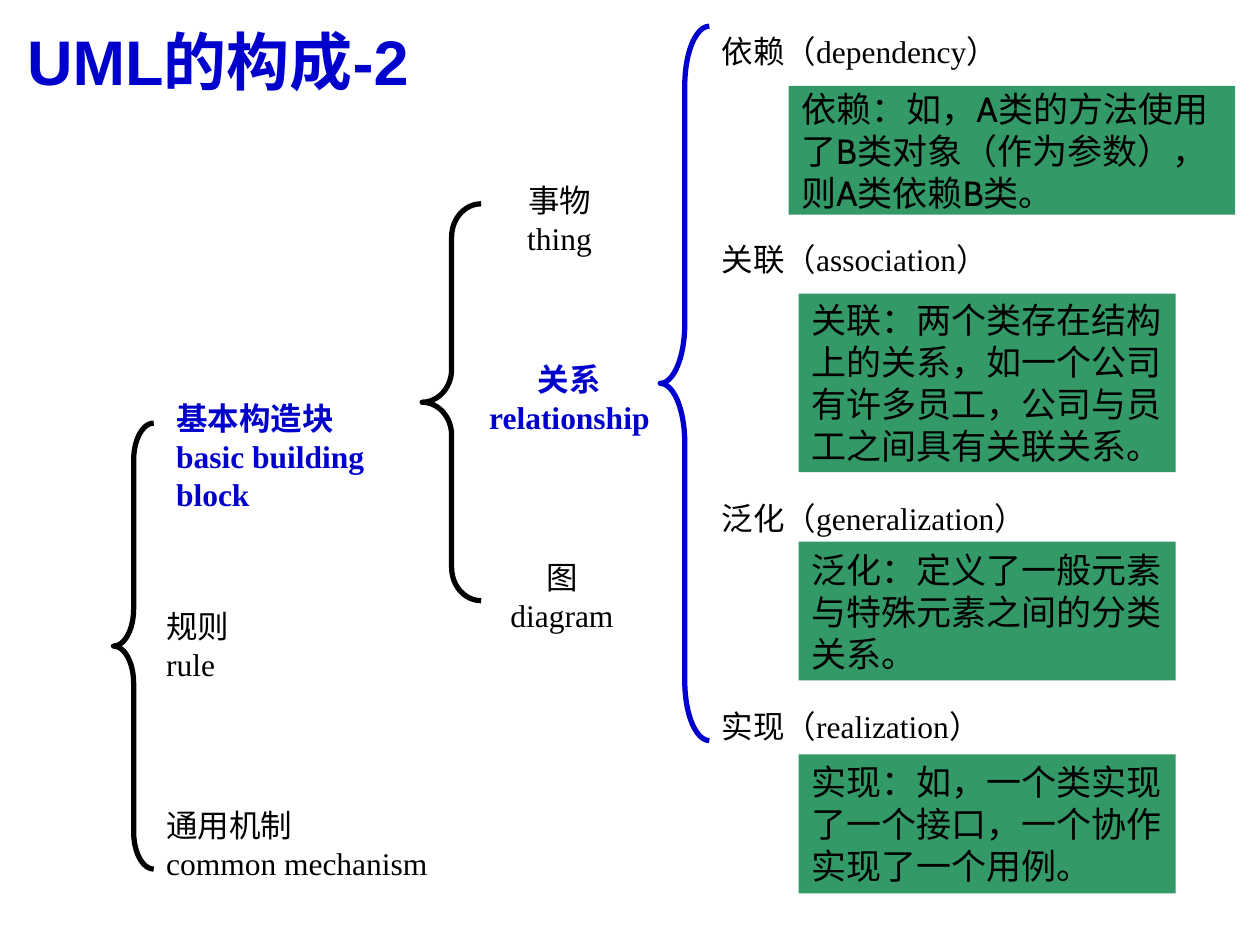
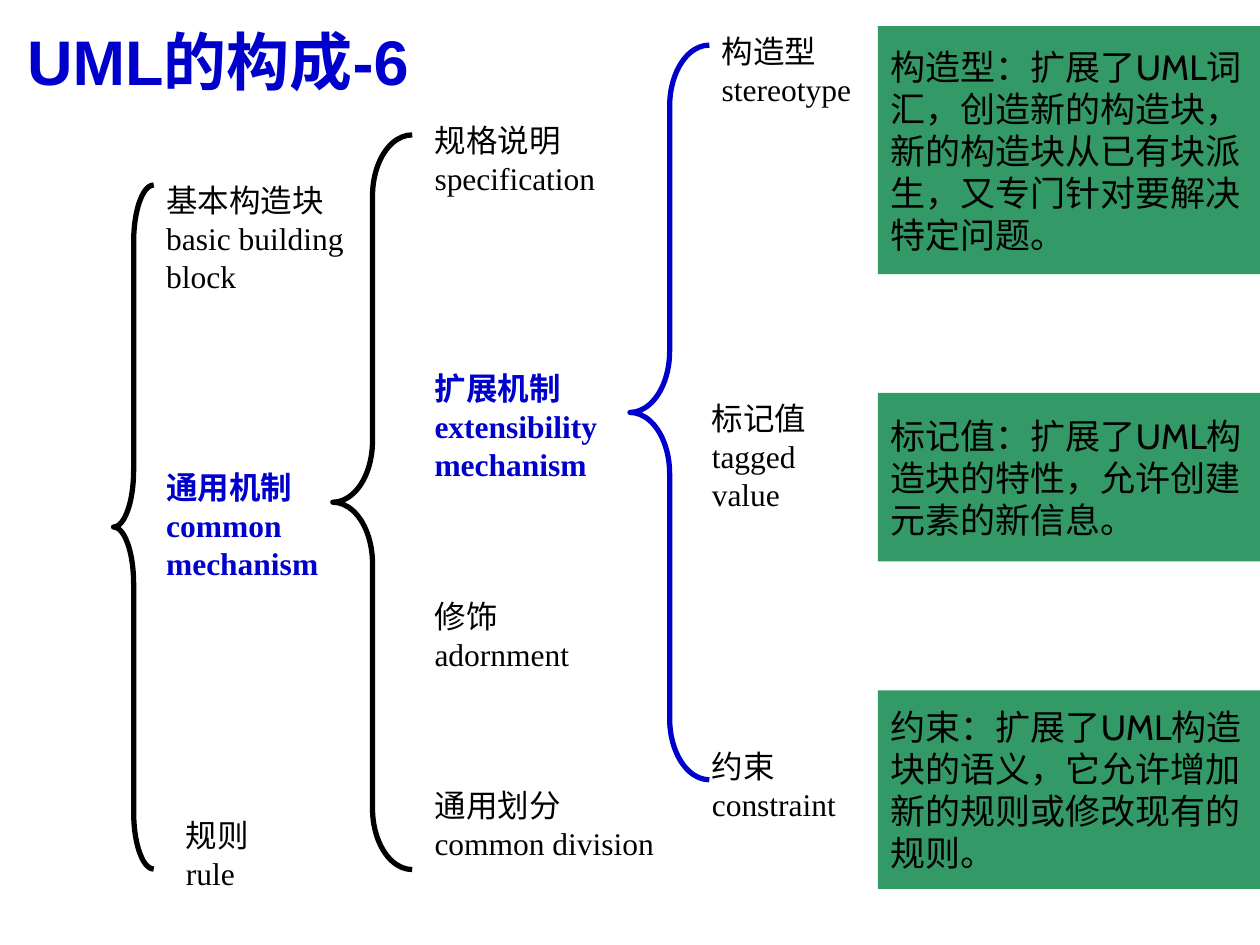
from pptx import Presentation
from pptx import util as u
from pptx.dml.color import RGBColor
from pptx.enum import shapes, text

COLORS = {"plain": "000000", "focus": "0000CC", "note": "339966"}
LABEL_FONT, NOTE_FONT, TITLE_FONT = "Times New Roman", "Cabin", "Arial"
BLANK_LAYOUT = 6


def color(name):
    return RGBColor.from_string(COLORS[name])


def write(shape, lines, font, size, focus=False, align=text.PP_ALIGN.LEFT):
    """Fill a shape with one paragraph per line."""
    frame = shape.text_frame
    frame.word_wrap = True
    frame.text = "\n".join(lines)
    for paragraph in frame.paragraphs:
        paragraph.alignment = align
        paragraph.font.name = font
        paragraph.font.size = u.Pt(size)
        paragraph.font.bold = focus
        paragraph.font.color.rgb = color("focus" if focus else "plain")


def add_text(slide, box, lines, font=LABEL_FONT, size=18, **style):
    shape = slide.shapes.add_textbox(*map(u.Cm, box))
    write(shape, lines, font, size, **style)


def add_title(slide, title):
    add_text(slide, (0.3, 0.33, 9, 1.8), [title], TITLE_FONT, 36, focus=True)


def add_brace(slide, box, name="plain"):
    """Left brace whose curls are a twelfth of its height."""
    shape = slide.shapes.add_shape(shapes.MSO_SHAPE.LEFT_BRACE, *map(u.Cm, box))
    shape.shadow.inherit = False
    shape.adjustments[0] = box[3] / 12 / box[2]
    shape.fill.background()
    shape.line.color.rgb = color(name)
    shape.line.width = u.Pt(3)


def add_note(slide, box, sentence):
    shape = slide.shapes.add_shape(shapes.MSO_SHAPE.RECTANGLE, *map(u.Cm, box))
    shape.shadow.inherit = False
    shape.fill.solid()
    shape.fill.fore_color.rgb = color("note")
    shape.line.fill.background()
    shape.text_frame.vertical_anchor = text.MSO_ANCHOR.MIDDLE
    write(shape, [sentence], NOTE_FONT, 20)


def build_relationships(slide):
    add_title(slide, "UML的构成-2")

    # Top level: parts of UML
    add_brace(slide, (2.29, 8.53, 0.81, 8.99))
    add_text(slide, (3.3, 7.92, 5.7, 1.6),
             ["基本构造块", "basic building block"], focus=True)
    add_text(slide, (3.1, 12.12, 2.8, 1.8), ["规则", "rule"])
    add_text(slide, (3.1, 16.13, 6.4, 1.8), ["通用机制", "common mechanism"])

    # Second level: building blocks
    add_brace(slide, (8.51, 4.11, 1.19, 8))
    blocks = [
        (9.86, 3.53, 2.84, ["事物", "thing"], False),
        (9.45, 7.14, 4.06, ["关系", "relationship"], True),
        (9.91, 11.13, 2.84, ["图", "diagram"], False),
    ]
    for left, top, width, lines, focus in blocks:
        add_text(slide, (left, top, width, 1.6), lines, focus=focus,
                 align=text.PP_ALIGN.CENTER)

    # Third level: relationships, each with its explanation
    add_brace(slide, (13.31, 0.53, 0.99, 14.4), "focus")
    relationships = [
        (0.53, "依赖（dependency）", (15.9, 1.73, 9, 2.6),
         "依赖：如，A类的方法使用了B类对象（作为参数），则A类依赖B类。"),
        (4.72, "关联（association）", (16.1, 5.92, 7.6, 3.6),
         "关联：两个类存在结构上的关系，如一个公司有许多员工，公司与员工之间具有关联关系。"),
        (9.93, "泛化（generalization）", (16.1, 10.92, 7.6, 2.8),
         "泛化：定义了一般元素与特殊元素之间的分类关系。"),
        (14.12, "实现（realization）", (16.1, 15.21, 7.6, 2.8),
         "实现：如，一个类实现了一个接口，一个协作实现了一个用例。"),
    ]
    for top, label, note_box, sentence in relationships:
        add_text(slide, (14.3, top, 9, 1), [label])
        add_note(slide, note_box, sentence)


def build_extensibility(slide):
    add_title(slide, "UML的构成-6")

    # Top level: parts of UML
    add_brace(slide, (2.29, 3.73, 0.81, 13.79))
    add_text(slide, (3.1, 3.53, 5.7, 2.4), ["基本构造块", "basic building", "block"])
    add_text(slide, (3.1, 9.32, 4, 2.8), ["通用机制", "common", "mechanism"], focus=True)
    add_text(slide, (3.5, 16.33, 2.8, 1.8), ["规则", "rule"])

    # Second level: common mechanisms
    add_brace(slide, (6.71, 2.72, 1.6, 14.81))
    mechanisms = [
        (2.31, 2, ["规格说明", "specification"], False),
        (7.32, 2.8, ["扩展机制", "extensibility", "mechanism"], True),
        (11.91, 2, ["修饰", "adornment"], False),
        (15.72, 2.2, ["通用划分", "common division"], False),
    ]
    for top, height, lines, focus in mechanisms:
        add_text(slide, (8.51, top, 5.2, height), lines, focus=focus)

    # Third level: extensions, each with its explanation
    add_brace(slide, (12.7, 0.91, 1.6, 14.81), "focus")
    extensions = [
        ((14.3, 0.53, 3.5, 1.6), ["构造型", "stereotype"], 0.53, 5,
         "构造型：扩展了UML词汇，创造新的构造块，新的构造块从已有块派生，又专门针对要解决特定问题。"),
        ((14.1, 7.92, 3.5, 2.8), ["标记值", "tagged value"], 7.92, 3.4,
         "标记值：扩展了UML构造块的特性，允许创建元素的新信息。"),
        ((14.1, 14.94, 3.5, 1.6), ["约束", "constraint"], 13.92, 4,
         "约束：扩展了UML构造块的语义，它允许增加新的规则或修改现有的规则。"),
    ]
    for label_box, lines, note_top, note_height, sentence in extensions:
        add_text(slide, label_box, lines)
        add_note(slide, (17.7, note_top, 7.7, note_height), sentence)


def main():
    presentation = Presentation()
    presentation.slide_width = u.Cm(25.4)
    presentation.slide_height = u.Cm(19.05)
    for build in (build_relationships, build_extensibility):
        build(presentation.slides.add_slide(presentation.slide_layouts[BLANK_LAYOUT]))
    presentation.save("out.pptx")


if __name__ == "__main__":
    main()
